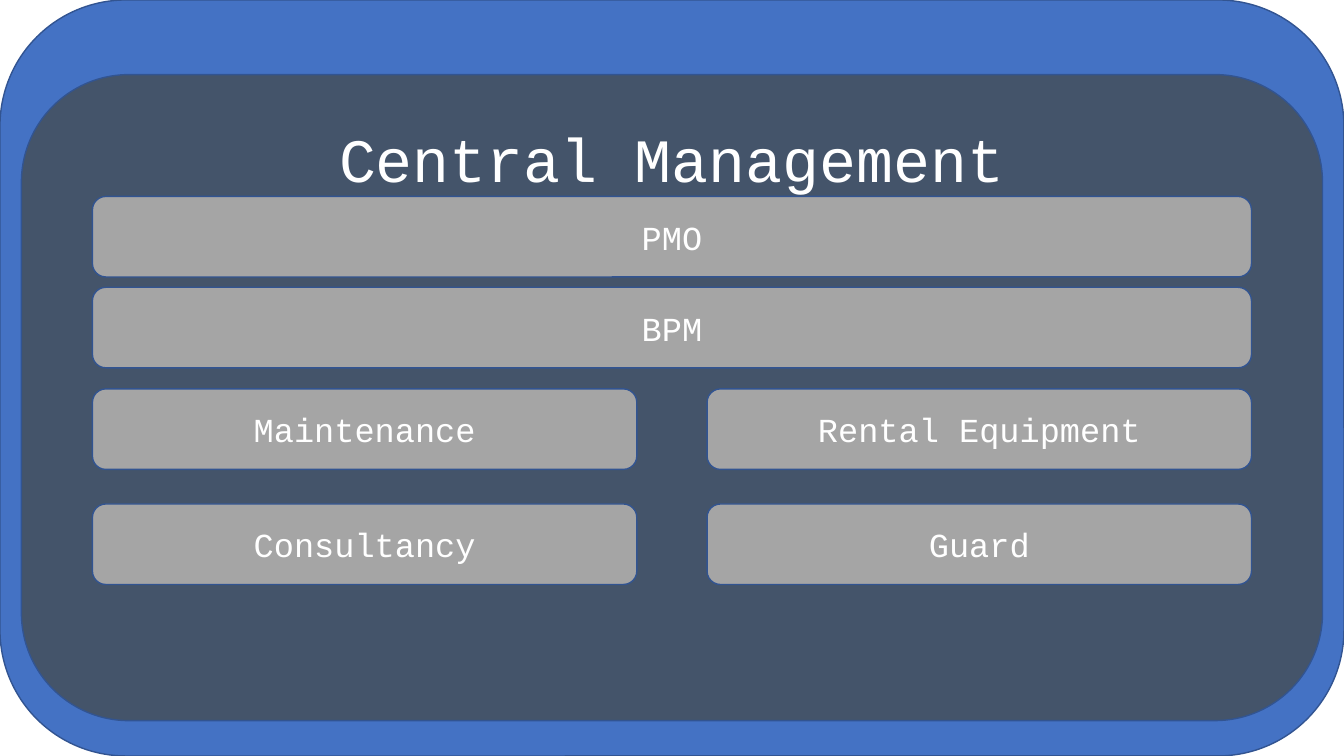
from pptx import Presentation
from pptx.dml.color import RGBColor
from pptx.enum.shapes import MSO_SHAPE
from pptx.enum.text import MSO_ANCHOR, PP_ALIGN
from pptx.util import Cm, Pt

ROUNDED = MSO_SHAPE.ROUNDED_RECTANGLE
MIDDLE = MSO_ANCHOR.MIDDLE
CENTER = PP_ALIGN.CENTER

SLIDE_W, SLIDE_H = 33.87, 19.05


def rgb(hex_colour):
    return RGBColor.from_string(hex_colour)


class ManagementSlide:
    FONT = "Courier New"
    FRAME, PANEL, UNIT = "4472C4", "44546A", "A5A5A5"
    OUTLINE, TEXT = "325491", "FFFFFF"

    def __init__(self, slide):
        self.slide = slide

    def label(self, shape, text, size):
        frame = shape.text_frame
        frame.text = text
        frame.word_wrap = True
        frame.vertical_anchor = MIDDLE
        paragraph = frame.paragraphs[0]
        paragraph.alignment = CENTER
        paragraph.font.name = self.FONT
        paragraph.font.size = Pt(size)
        paragraph.font.color.rgb = rgb(self.TEXT)

    def box(self, left, top, width, height, fill):
        shape = self.slide.shapes.add_shape(
            ROUNDED, Cm(left), Cm(top), Cm(width), Cm(height))
        shape.shadow.inherit = False
        shape.fill.solid()
        shape.fill.fore_color.rgb = rgb(fill)
        shape.line.color.rgb = rgb(self.OUTLINE)
        shape.line.width = Pt(1)
        return shape

    def unit(self, name, left, top, width, height):
        self.label(self.box(left, top, width, height, self.UNIT), name, 24)

    def title(self, text, left, top, width, height):
        heading = self.slide.shapes.title
        heading.left, heading.top = Cm(left), Cm(top)
        heading.width, heading.height = Cm(width), Cm(height)
        self.label(heading, text, 44)
        frame = heading.text_frame
        frame.margin_top = frame.margin_bottom = 0
        # Bring the title in front of the panel
        heading.element.getparent().append(heading.element)


def main():
    prs = Presentation()
    prs.slide_width, prs.slide_height = Cm(SLIDE_W), Cm(SLIDE_H)
    page = ManagementSlide(prs.slides.add_slide(prs.slide_layouts[5]))

    # Frame, panel and title
    panel_left, panel_w = 0.54, 32.79
    page.box(0, 0, SLIDE_W, SLIDE_H, page.FRAME)
    page.box(panel_left, 1.88, panel_w, 16.28, page.PANEL)
    page.title("Central Management", panel_left, 3.08, panel_w, 1.8)

    # Rows of units, sharing the full width equally
    left, full_w, unit_h, gap = 2.33, 29.21, 2.03, 1.77
    rows = [
        (4.95, ["PMO"]),
        (7.24, ["BPM"]),
        (9.8, ["Maintenance", "Rental Equipment"]),
        (12.7, ["Consultancy", "Guard"]),
    ]
    for top, names in rows:
        width = (full_w - gap * (len(names) - 1)) / len(names)
        for column, name in enumerate(names):
            page.unit(name, left + column * (width + gap), top, width, unit_h)

    prs.save("out.pptx")


if __name__ == "__main__":
    main()
